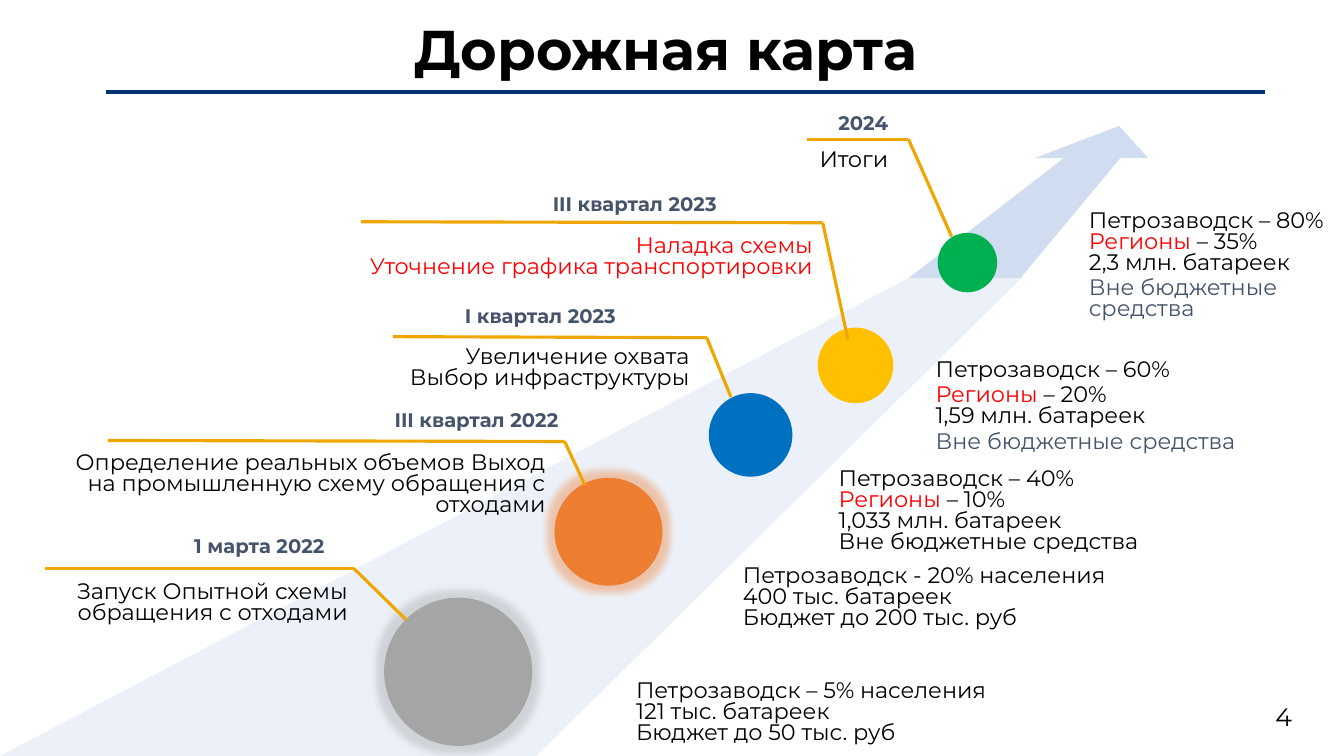
from itertools import pairwise

from pptx import Presentation
from pptx.dml.color import RGBColor
from pptx.enum.shapes import MSO_CONNECTOR, MSO_SHAPE
from pptx.enum.text import MSO_ANCHOR as Anchor, MSO_AUTO_SIZE as AutoSize, PP_ALIGN as Align
from pptx.oxml import parse_xml
from pptx.oxml.ns import nsdecls
from pptx.util import Emu, Pt

PX = 9144
BLACK = RGBColor(0x00, 0x00, 0x00)
RED = RGBColor(0xFF, 0x00, 0x00)
SLATE = RGBColor(0x44, 0x54, 0x6A)
NAVY = RGBColor(0x00, 0x32, 0x74)
AMBER = RGBColor(0xF0, 0xA6, 0x00)
ROAD = RGBColor(0xEC, 0xF1, 0xF9)
ARROW = RGBColor(0xD0, 0xDC, 0xF0)
GREY = RGBColor(0xA5, 0xA5, 0xA5)
ORANGE = RGBColor(0xED, 0x7D, 0x31)
BLUE = RGBColor(0x00, 0x70, 0xC0)
YELLOW = RGBColor(0xFF, 0xC0, 0x00)
GREEN = RGBColor(0x00, 0xB0, 0x50)

WIDE_INSETS = (10, 5)
TIGHT_INSETS = (5, 3)
REGIONS = ("Регионы", RED)

ROAD_POINTS = [(903, 275), (1014, 275), (532, 750), (0, 750)]
ARROW_POINTS = [(1110, 125), (1026, 157), (1055, 157), (901, 276),
                (1012, 276), (1111, 157), (1139, 157)]

MILESTONES = [
    ("1 марта 2022", (186, 527, 141, 29),
     "Запуск Опытной схемы обращения с отходами", (18, 575, 332, 49), TIGHT_INSETS, BLACK,
     (381, 593, 147), GREY, True, [(45, 564), (351, 564), (403, 615)]),
    ("III квартал 2022", (384, 402, 175, 29),
     "Определение реальных объемов Выход на промышленную схему обращения с отходами",
     (62, 447, 484, 70), TIGHT_INSETS, BLACK,
     (550, 474, 107), ORANGE, True, [(107, 437), (560, 438), (580, 481)]),
    ("I квартал 2023", (454, 299, 162, 29),
     "Увеличение охвата\nВыбор инфраструктуры", (303, 342, 386, 49), TIGHT_INSETS, BLACK,
     (703, 390, 83), BLUE, False, [(390, 334), (701, 335), (725, 394)]),
    ("III квартал 2023", (541, 188, 175, 29),
     "Наладка схемы\nУточнение графика транспортировки", (352, 230, 464, 52), WIDE_INSETS, RED,
     (811, 325, 75), YELLOW, False, [(358, 220), (816, 221), (841, 337)]),
    ("2024", (826, 107, 60, 29),
     "Итоги", (620, 147, 266, 26), TIGHT_INSETS, BLACK,
     (930, 231, 59), GREEN, False, [(800, 138), (901, 138), (944, 235)]),
]

RESULTS = [
    ((621, 672, 415, 75), WIDE_INSETS, 0, [
        [("Петрозаводск – 5% населения\n121 тыс. батареек", BLACK)],
        [("Бюджет до 50 тыс. руб", BLACK)]]),
    ((727, 558, 492, 75), WIDE_INSETS, 0, [
        [("Петрозаводск - 20% населения\n400 тыс. батареек", BLACK)],
        [("Бюджет до 200 тыс. руб", BLACK)]]),
    ((822, 461, 449, 95), WIDE_INSETS, 0, [
        [("Петрозаводск – 40%", BLACK)],
        [REGIONS, (" – 10%\n1,033 млн. батареек\nВне бюджетные средства", BLACK)]]),
    ((923, 355, 410, 104), TIGHT_INSETS, 3.2, [
        [("Петрозаводск – 60%", BLACK)],
        [REGIONS, (" – 20%\n1,59 млн. батареек", BLACK)],
        [("Вне бюджетные средства", SLATE)]]),
    ((1075, 207, 258, 119), TIGHT_INSETS, 3.2, [
        [("Петрозаводск – 80%\n", BLACK), REGIONS, (" – 35%\n2,3 млн. батареек", BLACK)],
        [("Вне бюджетные средства", SLATE)]]),
]


class RoadmapPage:
    font_name = "Montserrat"

    def __init__(self, deck):
        self.page = deck.slides.add_slide(deck.slide_layouts[5])
        self.shapes = self.page.shapes

    def lengths(self, *values):
        return [Emu(value * PX) for value in values]

    def style_font(self, paragraph, size, bold=False):
        paragraph.font.name = self.font_name
        paragraph.font.size = Pt(size)
        paragraph.font.bold = bold

    def title(self, text, place):
        title = self.shapes.title
        title.left, title.top, title.width, title.height = self.lengths(*place)
        title.text_frame.text = text
        title.text_frame.vertical_anchor = Anchor.MIDDLE
        paragraph = title.text_frame.paragraphs[0]
        paragraph.alignment = Align.CENTER
        paragraph.line_spacing = 0.9
        self.style_font(paragraph, 40, True)
        paragraph.font.color.rgb = BLACK

    def fill(self, shape, color):
        shape.shadow.inherit = False
        shape.fill.solid()
        shape.fill.fore_color.rgb = color
        shape.line.fill.background()

    def outline(self, points, color):
        builder = self.shapes.build_freeform(*points[0], scale=PX)
        builder.add_line_segments(points[1:], close=True)
        self.fill(builder.convert_to_shape(), color)

    def circle(self, left, top, size, color, glowing):
        circle = self.shapes.add_shape(MSO_SHAPE.OVAL, *self.lengths(left, top, size, size))
        self.fill(circle, color)
        if glowing:
            effects = circle._element.spPr.find("{*}effectLst")
            effects.append(parse_xml(
                f'<a:glow {nsdecls("a")} rad="139700"><a:srgbClr val="{color}">'
                '<a:alpha val="40000"/></a:srgbClr></a:glow>'))

    def line(self, start, end, color, width):
        line = self.shapes.add_connector(MSO_CONNECTOR.STRAIGHT, *self.lengths(*start, *end))
        line.line.color.rgb = color
        line.line.width = Pt(width)
        line._element.spPr.append(parse_xml(f'<a:effectLst {nsdecls("a")}/>'))

    def text(self, place, paragraphs, insets=TIGHT_INSETS, size=16, bold=False, align=Align.LEFT,
             anchor=Anchor.TOP, wrap=True, leading=15, gap=0):
        box = self.shapes.add_textbox(*self.lengths(*place))
        frame = box.text_frame
        frame.word_wrap = wrap
        frame.auto_size = AutoSize.SHAPE_TO_FIT_TEXT
        frame.vertical_anchor = anchor
        frame.margin_left, frame.margin_top = self.lengths(*insets)
        frame.margin_right, frame.margin_bottom = self.lengths(*insets)
        for index, spans in enumerate(paragraphs):
            paragraph = frame.add_paragraph() if index else frame.paragraphs[0]
            paragraph.alignment = align
            if leading:
                paragraph.line_spacing = Pt(leading)
            if index and gap:
                paragraph.space_before = Pt(gap)
            self.style_font(paragraph, size, bold)
            self.add_spans(paragraph, spans)

    def add_spans(self, paragraph, spans):
        shared = len({color for _, color in spans}) == 1
        if shared:
            paragraph.font.color.rgb = spans[0][1]
        for text, color in spans:
            for index, row in enumerate(text.split("\n")):
                if index:
                    paragraph.add_line_break()
                if row:
                    span = paragraph.add_run()
                    span.text = row
                    if not shared:
                        span.font.color.rgb = color

    def milestone(self, date, date_place, task, task_place, insets, task_color,
                  circle, circle_color, glowing, leader):
        self.circle(*circle, circle_color, glowing)
        self.text(date_place, [[(date, SLATE)]], size=14, bold=True, align=Align.RIGHT,
                  anchor=Anchor.MIDDLE, wrap=False, leading=None)
        self.text(task_place, [[(task, task_color)]], insets, align=Align.RIGHT)
        for start, end in pairwise(leader):
            self.line(start, end, AMBER, 2.25)


def main():
    deck = Presentation()
    deck.slide_width, deck.slide_height = Emu(1333 * PX), Emu(750 * PX)
    roadmap = RoadmapPage(deck)
    roadmap.title("Дорожная карта", (268, 27, 785, 50))
    roadmap.line((105, 91), (1255, 91), NAVY, 3)
    roadmap.outline(ROAD_POINTS, ROAD)
    roadmap.outline(ARROW_POINTS, ARROW)
    for milestone in MILESTONES:
        roadmap.milestone(*milestone)
    for place, insets, gap, paragraphs in RESULTS:
        roadmap.text(place, paragraphs, insets, gap=gap)
    roadmap.text((1255, 691, 78, 40), [[("4", BLACK)]], WIDE_INSETS, size=18, leading=None)
    deck.save("out.pptx")


if __name__ == "__main__":
    main()
